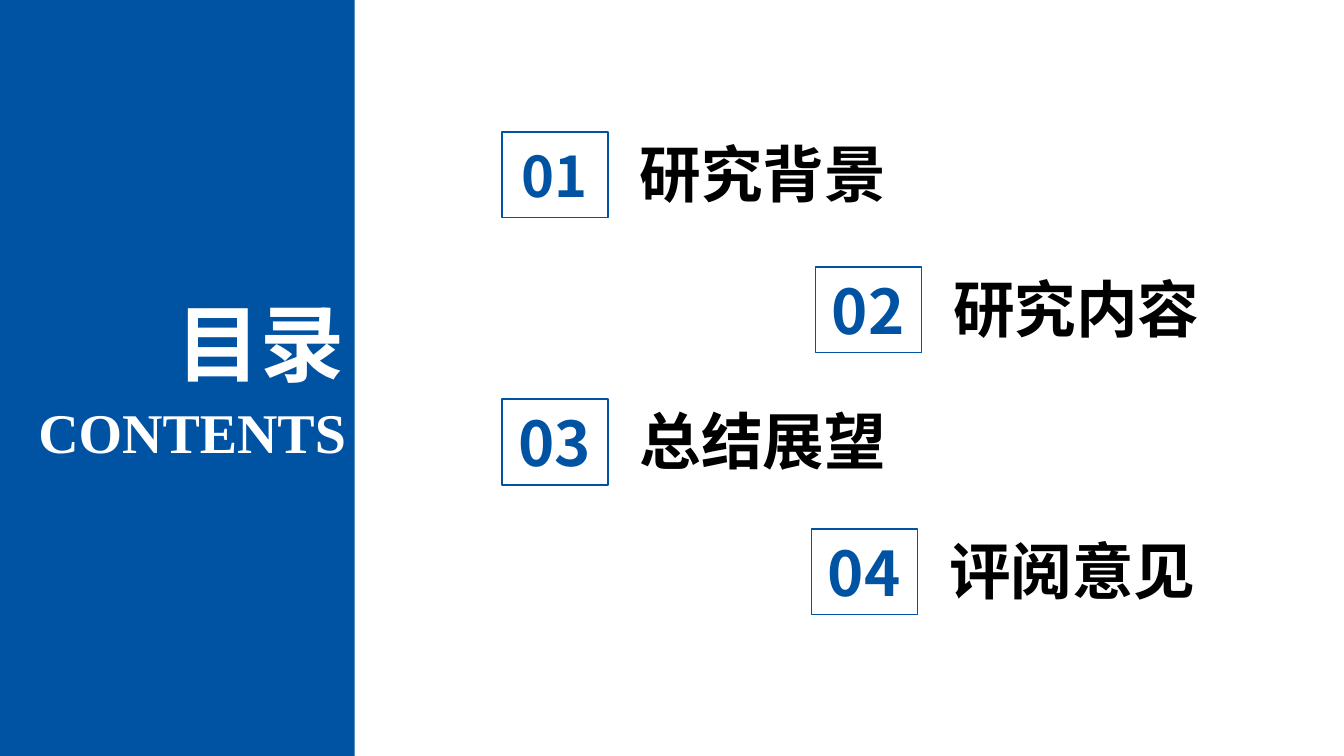
from pptx import Presentation
from pptx.dml.color import RGBColor
from pptx.enum import shapes, text
from pptx.oxml import ns
from pptx.util import Cm, Pt

COLORS = {"blue": "0053A3", "white": "FFFFFF", "black": "000000"}
CJK_FONT = "Noto Sans CJK SC"
LATIN_FONT = "Times New Roman"
ALIGN = text.PP_ALIGN
BOX_WIDTH, BOX_HEIGHT = 2.67, 2.16
ENTRIES = [
    ("01", "研究背景", 12.65, 3.33, 40),
    ("02", "研究内容", 20.55, 6.73, 44),
    ("03", "总结展望", 12.65, 10.06, 44),
    ("04", "评阅意见", 20.45, 13.33, 44),
]


def color(name):
    """Return a named colour."""
    return RGBColor.from_string(COLORS[name])


def add_rectangle(parent, left, top, width, height, fill=None, line=None):
    """Add a plain rectangle with an optional fill and outline."""
    shape = parent.add_shape(
        shapes.MSO_SHAPE.RECTANGLE, Cm(left), Cm(top), Cm(width), Cm(height)
    )
    shape.shadow.inherit = False
    if fill:
        shape.fill.solid()
        shape.fill.fore_color.rgb = color(fill)
    else:
        shape.fill.background()
    if line:
        shape.line.color.rgb = color(line)
        shape.line.width = Pt(1)
    else:
        shape.line.fill.background()


def add_label(parent, wording, left, top, width, height, size, ink, align, font=CJK_FONT):
    """Add one bold line of text, centred vertically."""
    box = parent.add_textbox(Cm(left), Cm(top), Cm(width), Cm(height))
    frame = box.text_frame
    frame.word_wrap = True
    frame.vertical_anchor = text.MSO_ANCHOR.MIDDLE
    paragraph = frame.paragraphs[0]
    paragraph.alignment = align
    run = paragraph.add_run()
    run.text = wording
    run.font.name = font
    run.font.size = Pt(size)
    run.font.bold = True
    run.font.color.rgb = color(ink)
    east_asian = run.font._element.makeelement(ns.qn("a:ea"), {"typeface": font})
    run.font._element.append(east_asian)


def add_entry(slide, number, title, left, top, number_size):
    """Add a contents entry: a title beside a framed number."""
    group = slide.shapes.add_group_shape().shapes
    add_label(group, title, left + 3.22, top - 0.03, 7.75, 2.13, 44, "black", ALIGN.LEFT)
    add_label(group, number, left - 0.12, top + 0.08, 2.9, 2, number_size, "blue", ALIGN.CENTER)
    add_rectangle(group, left, top, BOX_WIDTH, BOX_HEIGHT, line="blue")


def main():
    """Build the contents slide."""
    presentation = Presentation()
    presentation.slide_width = Cm(33.87)
    presentation.slide_height = Cm(19.05)
    slide = presentation.slides.add_slide(presentation.slide_layouts[6])
    add_rectangle(slide.shapes, 0, 0, 8.94, 19.05, fill="blue")
    add_label(slide.shapes, "目录", 2.49, 7.21, 6.45, 2.82, 60, "white", ALIGN.RIGHT)
    add_label(
        slide.shapes, "CONTENTS", 0, 9.88, 8.97, 1.96, 40, "white", ALIGN.RIGHT, LATIN_FONT
    )
    for entry in ENTRIES:
        add_entry(slide, *entry)
    presentation.save("out.pptx")


if __name__ == "__main__":
    main()
